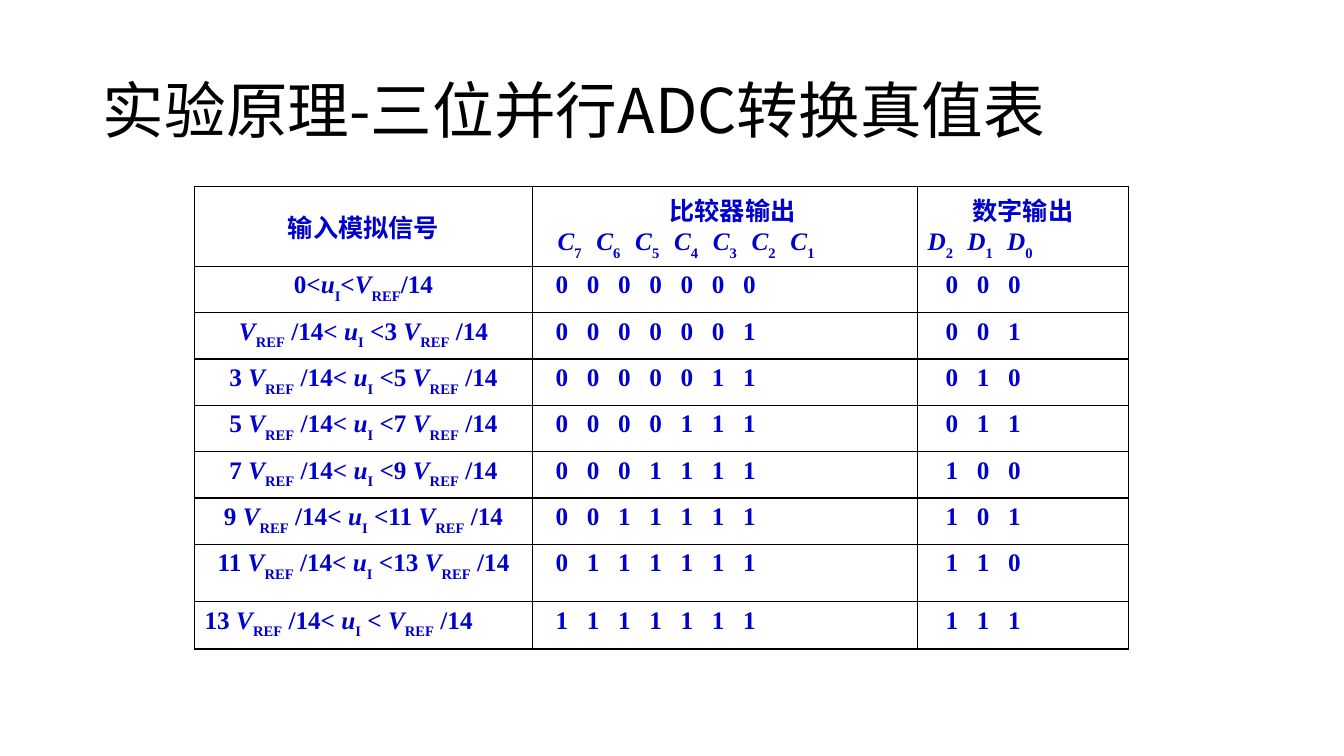
"""Build the slide with the truth table of a three-bit parallel ADC."""
from lxml.etree import SubElement
from pptx import Presentation
from pptx.dml.color import RGBColor
from pptx.enum.text import MSO_ANCHOR, PP_ALIGN
from pptx.oxml.ns import qn
from pptx.util import Inches, Pt

BLACK = RGBColor(0x00, 0x00, 0x00)
WHITE = RGBColor(0xFF, 0xFF, 0xFF)
BLUE = RGBColor(0x00, 0x00, 0xCC)
COLUMN_WIDTHS = [3.35, 3.82, 2.09]
ROW_HEIGHTS = [0.79] + [0.46] * 6 + [0.57, 0.47]
DIGIT_STEP = 0.31
V_REF = ("V", "REF")
U_IN = ("u", "I")


def write(paragraph, parts, align=PP_ALIGN.LEFT):
    """Write plain strings and (italic symbol, subscript) pairs."""
    paragraph.alignment = align
    paragraph.font.name = "Times New Roman"
    paragraph.font.size = Pt(18)
    paragraph.font.bold = True
    paragraph.font.color.rgb = BLUE
    for part in parts:
        if isinstance(part, str):
            paragraph.add_run().text = part
            continue
        symbol, subscript = (paragraph.add_run() for _ in part)
        symbol.text, subscript.text = part
        symbol.font.italic = True
        subscript.font._element.set("baseline", "-30000")


def write_columns(paragraph, entries, step):
    """Write entries separated by tabs, with a tab stop at every step."""
    parts = [entries[0]]
    for entry in entries[1:]:
        parts += ["\t", entry]
    write(paragraph, parts)
    properties = paragraph._p.get_or_add_pPr()
    stops = properties.makeelement(qn("a:tabLst"))
    properties.find(qn("a:defRPr")).addprevious(stops)
    for index in range(1, len(entries)):
        SubElement(stops, qn("a:tab"), pos=str(Inches(index * step)), algn="l")


prs = Presentation()
prs.slide_width, prs.slide_height = Inches(13.33), Inches(7.5)
slide = prs.slides.add_slide(prs.slide_layouts[5])

title = slide.shapes.title
title.left, title.top = Inches(0.92), Inches(0.4)
title.width, title.height = Inches(11.5), Inches(1.45)
title.text_frame.text = "实验原理-三位并行ADC转换真值表"
title.text_frame.vertical_anchor = MSO_ANCHOR.MIDDLE
heading = title.text_frame.paragraphs[0]
heading.alignment = PP_ALIGN.LEFT
heading.line_spacing = 0.9
heading.font.name = "Noto Sans CJK SC"
heading.font.size = Pt(44)
heading.font.color.rgb = BLACK

truth_table = slide.shapes.add_table(
    len(ROW_HEIGHTS), len(COLUMN_WIDTHS), Inches(1.93), Inches(1.85),
    Inches(sum(COLUMN_WIDTHS)), Inches(sum(ROW_HEIGHTS))).table
truth_table.first_row = truth_table.horz_banding = False
for column, width in zip(truth_table.columns, COLUMN_WIDTHS):
    column.width = Inches(width)
for row, height in zip(truth_table.rows, ROW_HEIGHTS):
    row.height = Inches(height)

for cell in truth_table.iter_cells():
    properties = cell._tc.get_or_add_tcPr()
    for side in ("a:lnL", "a:lnR", "a:lnT", "a:lnB"):
        border = SubElement(properties, qn(side), w=str(Pt(1)))
        fill = SubElement(border, qn("a:solidFill"))
        SubElement(fill, qn("a:srgbClr"), val=str(BLACK))
    cell.fill.solid()
    cell.fill.fore_color.rgb = WHITE

input_head, comparator_head, digital_head = truth_table.rows[0].cells
input_head.vertical_anchor = MSO_ANCHOR.MIDDLE
write(input_head.text_frame.paragraphs[0], ["输入模拟信号"], PP_ALIGN.CENTER)
comparator_head.margin_left = Inches(0.25)
for cell, label, letter, highest, lowest, step in (
        (comparator_head, "比较器输出", "C", 7, 1, 0.385),
        (digital_head, "数字输出", "D", 2, 0, 0.395)):
    write(cell.text_frame.paragraphs[0], [label], PP_ALIGN.CENTER)
    signals = [(letter, str(bit)) for bit in range(highest, lowest - 1, -1)]
    write_columns(cell.text_frame.add_paragraph(), signals, step)

for level in range(8):
    lower, upper = 2 * level - 1, 2 * level + 1
    align = PP_ALIGN.CENTER
    if level == 0:
        interval = ["0<", U_IN, "<", V_REF, "/14"]
    elif level == 1:
        interval = [V_REF, " /14< ", U_IN, f" <{upper} ", V_REF, " /14"]
    elif level < 7:
        interval = [f"{lower} ", V_REF, " /14< ", U_IN, f" <{upper} ", V_REF, " /14"]
    else:
        interval = [f"{lower} ", V_REF, " /14< ", U_IN, " < ", V_REF, " /14"]
        align = PP_ALIGN.LEFT
    input_cell, comparator_cell, digital_cell = truth_table.rows[level + 1].cells
    write(input_cell.text_frame.paragraphs[0], interval, align)
    comparator_cell.margin_left = Inches(0.23)
    digital_cell.margin_left = Inches(0.28)
    thermometer = "0" * (7 - level) + "1" * level
    write_columns(comparator_cell.text_frame.paragraphs[0], thermometer, DIGIT_STEP)
    write_columns(digital_cell.text_frame.paragraphs[0], f"{level:03b}", DIGIT_STEP)

prs.save("out.pptx")
